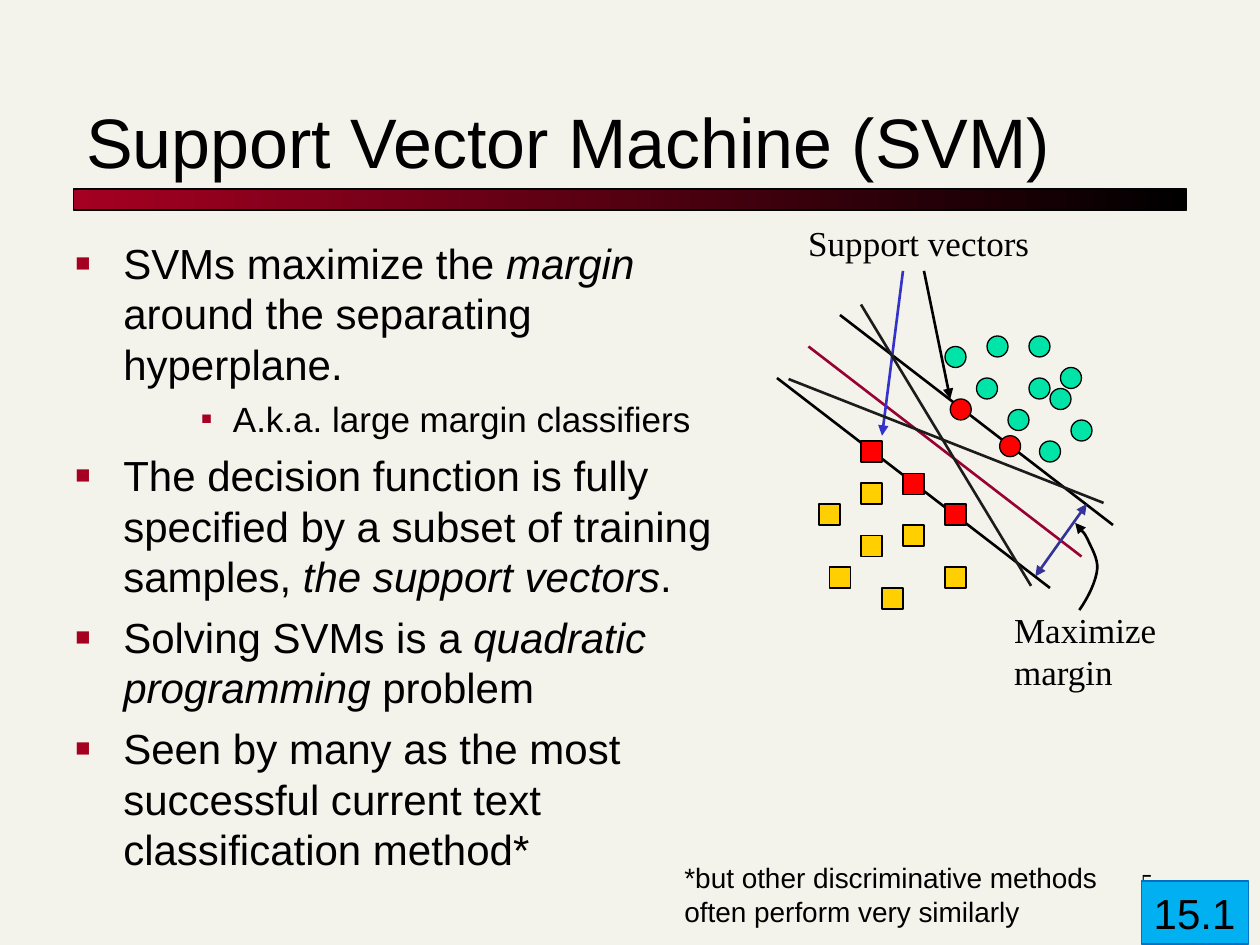
from dataclasses import dataclass
from typing import Optional

from lxml import etree
from pptx import Presentation
from pptx import util as u
from pptx.dml.color import RGBColor
from pptx.enum import shapes, text
from pptx.oxml.ns import qn

CELL = u.Inches(10) // 120
MARK = 2

PAPER = RGBColor(0xF4, 0xF3, 0xEB)
BLACK = RGBColor(0, 0, 0)
CRIMSON = RGBColor(0xA5, 0x00, 0x21)
WINE = RGBColor(0x99, 0x00, 0x33)
CHARCOAL = RGBColor(0x1C, 0x1C, 0x1C)
BLUE = RGBColor(0x33, 0x33, 0xCC)
INDIGO = RGBColor(0x33, 0x33, 0x99)
GREEN = RGBColor(0x00, 0xE4, 0xA8)
YELLOW = RGBColor(0xFF, 0xCF, 0x01)
RED = RGBColor(0xFF, 0, 0)
SKY = RGBColor(0x00, 0xB0, 0xF0)
SKY_EDGE = RGBColor(0x00, 0x70, 0xC0)

RECT = shapes.MSO_SHAPE.RECTANGLE
OVAL = shapes.MSO_SHAPE.OVAL


@dataclass
class Markers:
    kind: shapes.MSO_SHAPE
    color: RGBColor
    cells: list


@dataclass
class Segment:
    start: tuple
    end: tuple
    color: RGBColor = BLACK
    head: bool = False
    tail: bool = False


@dataclass
class Bullet:
    words: str
    level: int = 0


@dataclass
class Level:
    size: int
    margin: float
    hang: float
    before: int
    bullet: int


LEVELS = [Level(24, 0.38, 0.38, 6, 60), Level(20, 1.25, 0.25, 5, 50)]

BULLETS = [
    Bullet("SVMs maximize the |margin| around the separating hyperplane."),
    Bullet("A.k.a. large margin classifiers", 1),
    Bullet("The decision function is fully specified by a subset of training "
           "samples, |the support vectors|."),
    Bullet("Solving SVMs is a |quadratic programming| problem"),
    Bullet("Seen by many as the most successful current text classification method*"),
]

POINTS = [
    Markers(OVAL, GREEN, [(94, 32), (98, 36), (96, 39), (102, 40), (99, 42), (98, 32),
                          (90, 33), (100, 37), (101, 35), (93, 36)]),
    Markers(RECT, YELLOW, [(82, 46), (84, 56), (86, 50), (90, 54), (78, 48), (82, 51),
                           (79, 54)]),
]
SUPPORT_POINTS = [
    Markers(OVAL, RED, [(90.5, 38), (95.2, 41.5)]),
    Markers(RECT, RED, [(86, 45.1), (90, 48), (82, 42)]),
]
MARGIN_LINES = [
    Segment((77, 33), (103, 53), WINE),
    Segment((80, 30), (106, 50)),
    Segment((74, 36), (100, 56)),
]
ARROWS = [
    Segment((86, 25.8), (84, 41.5), BLUE, tail=True),
    Segment((88, 25.8), (90.5, 38), tail=True),
    Segment((98.6, 54.9), (103.5, 48), INDIGO, head=True, tail=True),
]
OTHER_LINES = [
    Segment((82, 29), (98.2, 55.8), CHARCOAL),
    Segment((75.1, 36.1), (105.1, 47.9), CHARCOAL),
]
MARGIN_CURVE = [(102.8, 58.1), (103.7, 56.8), (104.4, 55.3), (104.5, 54.2),
                (104.6, 53.2), (103.9, 52.1), (103.6, 51.4),
                (103.2, 50.6), (102.5, 50), (102.4, 49.8)]


def grid(*cells: float) -> list:
    return [u.Emu(round(c * CELL)) for c in cells]


def write(p, words: str, *, size: int, font: str = "Arial", align=text.PP_ALIGN.LEFT,
          before: int = 0) -> None:
    p.alignment = align
    p.space_before = u.Pt(before)
    for i, part in enumerate(words.split("|")):
        r = p.add_run()
        r.text = part
        r.font.name = font
        r.font.size = u.Pt(size)
        r.font.color.rgb = BLACK
        r.font.italic = i % 2 == 1


def fit_to_text(tf) -> None:
    tf.word_wrap = False
    tf.auto_size = text.MSO_AUTO_SIZE.SHAPE_TO_FIT_TEXT


def add_text(s, box: tuple, *lines: str, wrap: bool = True, **fmt) -> None:
    tf = s.shapes.add_textbox(*grid(*box)).text_frame
    if wrap:
        tf.word_wrap = True
    else:
        fit_to_text(tf)
    for i, line in enumerate(lines):
        write(tf.add_paragraph() if i else tf.paragraphs[0], line, **fmt)


def add_shape(s, kind, box: tuple, fill: Optional[RGBColor] = None, edge: RGBColor = BLACK):
    sp = s.shapes.add_shape(kind, *grid(*box))
    sp.shadow.inherit = False
    if fill is not None:
        sp.fill.solid()
        sp.fill.fore_color.rgb = fill
    sp.line.color.rgb = edge
    sp.line.width = u.Pt(0.75)
    return sp


def add_markers(s, group: Markers) -> None:
    for col, row in group.cells:
        add_shape(s, group.kind, (col, row, MARK, MARK), group.color)


def style_line(sp, color: RGBColor, head: bool, tail: bool) -> None:
    sp.line.color.rgb = color
    sp.line.width = u.Pt(1.5)
    ln = sp.line._get_or_add_ln()
    for tag, wanted in (("a:headEnd", head), ("a:tailEnd", tail)):
        if wanted:
            etree.SubElement(ln, qn(tag), type="triangle")


def add_segment(s, seg: Segment) -> None:
    sp = s.shapes.add_connector(shapes.MSO_CONNECTOR.STRAIGHT, *grid(*seg.start, *seg.end))
    style_line(sp, seg.color, seg.head, seg.tail)
    etree.SubElement(sp._element.spPr, qn("a:effectLst"))


def add_curve(s, points: list) -> None:
    start, *rest = [tuple(grid(*pt)) for pt in points]
    fb = s.shapes.build_freeform(*start)
    fb.add_line_segments(rest, close=False)
    sp = fb.convert_to_shape()
    sp.shadow.inherit = False
    sp.fill.background()
    style_line(sp, BLACK, False, True)
    steps = list(sp._element.iter(qn("a:lnTo")))
    for i in range(0, len(steps), 3):
        bezier = etree.SubElement(steps[i].getparent(), qn("a:cubicBezTo"))
        for step in steps[i:i + 3]:
            bezier.append(step[0])
            step.getparent().remove(step)


def add_bullets(s, box: tuple, bullets: list) -> None:
    tf = s.shapes.add_textbox(*grid(*box)).text_frame
    tf.word_wrap = True
    for i, b in enumerate(bullets):
        level = LEVELS[b.level]
        p = tf.add_paragraph() if i else tf.paragraphs[0]
        p.level = b.level
        write(p, b.words, size=level.size, before=level.before if i else 0)
        p.line_spacing = 1.0
        pPr = p._p.get_or_add_pPr()
        pPr.set("marL", str(u.Inches(level.margin)))
        pPr.set("indent", str(-u.Inches(level.hang)))
        color = etree.SubElement(pPr, qn("a:buClr"))
        etree.SubElement(color, qn("a:srgbClr"), val=str(CRIMSON))
        etree.SubElement(pPr, qn("a:buSzPct"), val=str(level.bullet * 1000))
        etree.SubElement(pPr, qn("a:buFont"), typeface="Arial")
        etree.SubElement(pPr, qn("a:buChar"), char="■")


def main() -> None:
    prs = Presentation()
    prs.slide_width, prs.slide_height = grid(120, 90)
    s = prs.slides.add_slide(prs.slide_layouts[5])
    s.background.fill.solid()
    s.background.fill.fore_color.rgb = PAPER

    bar = add_shape(s, RECT, (7, 18, 106, 2))
    bar.fill.gradient()
    bar.fill.gradient_angle = 0
    for stop, color, at in zip(bar.fill.gradient_stops, (CRIMSON, BLACK), (0, 1)):
        stop.color.rgb = color
        stop.position = at

    add_text(s, (86, 82, 25, 6), "5", size=14, font="Times New Roman",
             align=text.PP_ALIGN.RIGHT)

    title = s.shapes.title
    title.left, title.top, title.width, title.height = grid(7, 5, 106, 13)
    title.text_frame.vertical_anchor = text.MSO_ANCHOR.BOTTOM
    title.text_frame.auto_size = text.MSO_AUTO_SIZE.NONE
    write(title.text_frame.paragraphs[0], "Support Vector Machine (SVM)", size=40)

    label = dict(size=20, font="Times New Roman", wrap=False)
    for group in POINTS:
        add_markers(s, group)
    for seg in MARGIN_LINES:
        add_segment(s, seg)
    add_text(s, (75.8, 20.5, 23.5, 5.3), "Support vectors", **label)
    for seg in ARROWS:
        add_segment(s, seg)
    add_text(s, (95.4, 57.4, 16, 9.2), "Maximize", "margin", **label)
    add_curve(s, MARGIN_CURVE)
    for seg in OTHER_LINES:
        add_segment(s, seg)
    for group in SUPPORT_POINTS:
        add_markers(s, group)

    add_bullets(s, (6, 22, 64, 64), BULLETS)
    add_text(s, (64, 81.4, 43, 7.7),
             "*but other discriminative methods often perform very similarly", size=16)

    badge = add_shape(s, RECT, (108.7, 83.9, 10.2, 6), SKY, SKY_EDGE)
    fit_to_text(badge.text_frame)
    write(badge.text_frame.paragraphs[0], "15.1", size=24)

    prs.save("out.pptx")


if __name__ == "__main__":
    main()
